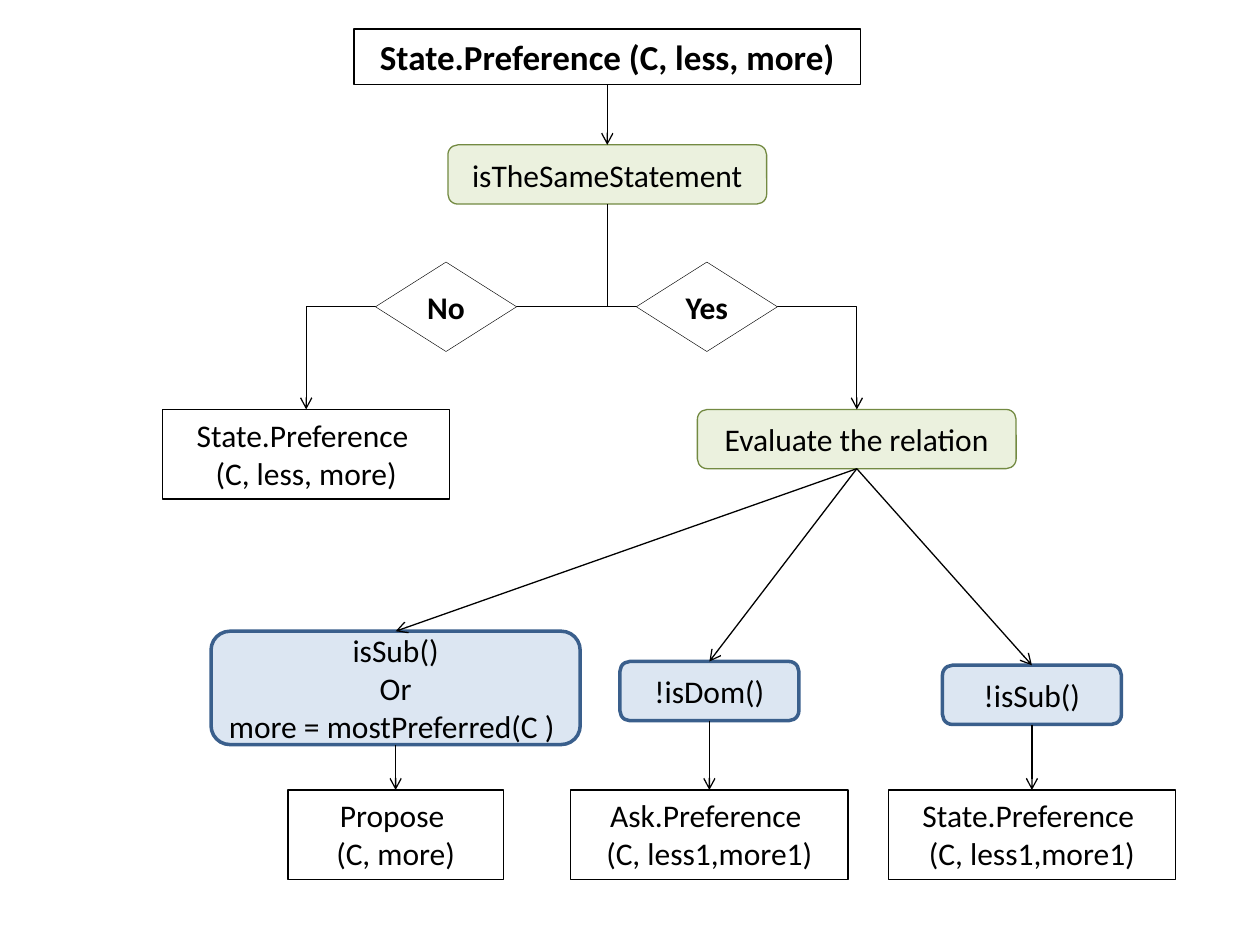
from dataclasses import dataclass

from pptx import Presentation
from pptx.dml.color import RGBColor
from pptx.enum.shapes import MSO_CONNECTOR as Link, MSO_SHAPE as Shape
from pptx.enum.text import MSO_ANCHOR as Anchor, PP_ALIGN as Align
from pptx.oxml.ns import qn
from pptx.util import Inches, Pt
from lxml.etree import SubElement

BLACK = RGBColor(0x00, 0x00, 0x00)
WHITE = RGBColor(0xFF, 0xFF, 0xFF)
GREEN = RGBColor(0x73, 0x8A, 0x42)
PALE_GREEN = RGBColor(0xEB, 0xF1, 0xDE)
BLUE = RGBColor(0x3A, 0x5F, 0x8C)
PALE_BLUE = RGBColor(0xDC, 0xE6, 0xF2)


@dataclass(frozen=True)
class Style:
    kind: Shape
    fill: RGBColor | None
    line: RGBColor
    weight: float
    anchor: Anchor = Anchor.MIDDLE


@dataclass(frozen=True)
class Node:
    text: str
    mid: float  # horizontal centre
    top: float
    width: float
    height: float
    style: Style
    size: int = 18
    bold: bool = False
    last: Align = Align.CENTER  # alignment of the last line


ACT = Style(Shape.RECTANGLE, None, BLACK, 0.75, Anchor.TOP)
STEP = Style(Shape.ROUNDED_RECTANGLE, PALE_GREEN, GREEN, 0.75)
TEST = Style(Shape.ROUNDED_RECTANGLE, PALE_BLUE, BLUE, 2)
CHOICE = Style(Shape.DIAMOND, WHITE, BLACK, 0.25)

# Column centres and shared rows
START, LEFT, RIGHT = 4.82, 2.43, 6.8
FORK, LEAF = 3.25, 6.27

NODES = {
    "start": Node("State.Preference (C, less, more)", START, 0.23, 4.02, 0.44,
                  ACT, size=20, bold=True),
    "same": Node("isTheSameStatement", START, 1.15, 2.53, 0.47, STEP),
    "state": Node("State.Preference \n(C, less, more)", LEFT, FORK, 2.28, 0.71, ACT),
    "eval": Node("Evaluate the relation", RIGHT, FORK, 2.53, 0.47, STEP),
}
CHOICES = [
    Node("No", 3.54, 2.08, 1.12, 0.71, CHOICE, bold=True),
    Node("Yes", 5.61, 2.08, 1.12, 0.71, CHOICE, bold=True),
]
# Each test with the act it leads to
BRANCHES = [
    (Node("isSub()\nOr\nmore = mostPreferred(C )", 3.14, 5.01, 2.93, 0.9, TEST,
          last=Align.LEFT),
     Node("Propose \n(C, more)", 3.14, LEAF, 1.71, 0.71, ACT)),
    (Node("!isDom()", 5.63, 5.25, 1.42, 0.47, TEST),
     Node("Ask.Preference \n(C, less1,more1)", 5.63, LEAF, 2.2, 0.71, ACT)),
    (Node("!isSub()", 8.19, 5.28, 1.42, 0.47, TEST),
     Node("State.Preference \n(C, less1,more1)", 8.19, LEAF, 2.28, 0.71, ACT)),
]


def write(frame, text: str, *, size: int, bold: bool, anchor: Anchor,
          last: Align) -> None:
    frame.word_wrap = True
    frame.vertical_anchor = anchor
    frame.text = text
    for par in frame.paragraphs:
        par.alignment = Align.CENTER
        font = par.font
        font.name, font.size, font.bold = "Calibri", Pt(size), bold
        font.color.rgb = BLACK
    frame.paragraphs[-1].alignment = last


def draw(slide, node: Node):
    style = node.style
    shape = slide.shapes.add_shape(
        style.kind, Inches(node.mid - node.width / 2), Inches(node.top),
        Inches(node.width), Inches(node.height))
    shape.shadow.inherit = False
    if style.fill is None:
        shape.fill.background()
    else:
        shape.fill.solid()
        shape.fill.fore_color.rgb = style.fill
    shape.line.color.rgb = style.line
    shape.line.width = Pt(style.weight)
    write(shape.text_frame, node.text, size=node.size, bold=node.bold,
          anchor=style.anchor, last=node.last)
    return shape


def join(slide, head, tail, kind: Link = Link.STRAIGHT):
    """Arrow from the bottom of one shape to the top of another."""
    link = slide.shapes.add_connector(kind, 0, 0, 0, 0)
    link.begin_connect(head, 2)
    link.end_connect(tail, 0)
    link.line.color.rgb = BLACK
    link.line.width = Pt(0.75)
    props = link._element.spPr
    SubElement(props.find(qn("a:ln")), qn("a:tailEnd"), type="arrow")
    SubElement(props, qn("a:effectLst"))
    return link


def bend(slide, head, tail) -> None:
    """Elbow arrow that leaves downwards: a quarter turn of the preset."""
    link = join(slide, head, tail, Link.ELBOW)
    x1, y1, x2, y2 = link.begin_x, link.begin_y, link.end_x, link.end_y
    width, height = y2 - y1, abs(x2 - x1)
    link.left, link.top = (x1 + x2 - width) // 2, (y1 + y2 - height) // 2
    link.width, link.height = width, height
    right = x2 > x1
    frame = link._element.spPr.find(qn("a:xfrm"))
    frame.set("rot", str((270 if right else 90) * 60000))
    frame.set("flipH", "1" if right else "0")
    frame.set("flipV", "0")


def main() -> None:
    deck = Presentation()
    deck.slide_width, deck.slide_height = Inches(10), Inches(7.5)
    slide = deck.slides.add_slide(deck.slide_layouts[6])

    # Opening check and its two outcomes
    shapes = {name: draw(slide, node) for name, node in NODES.items()}
    join(slide, shapes["start"], shapes["same"])
    for name in ("state", "eval"):
        bend(slide, shapes["same"], shapes[name])
    for node in CHOICES:
        draw(slide, node)

    # Branches of the evaluation
    for test, act in BRANCHES:
        box = draw(slide, test)
        join(slide, box, draw(slide, act))
        join(slide, shapes["eval"], box)

    deck.save("out.pptx")


if __name__ == "__main__":
    main()
